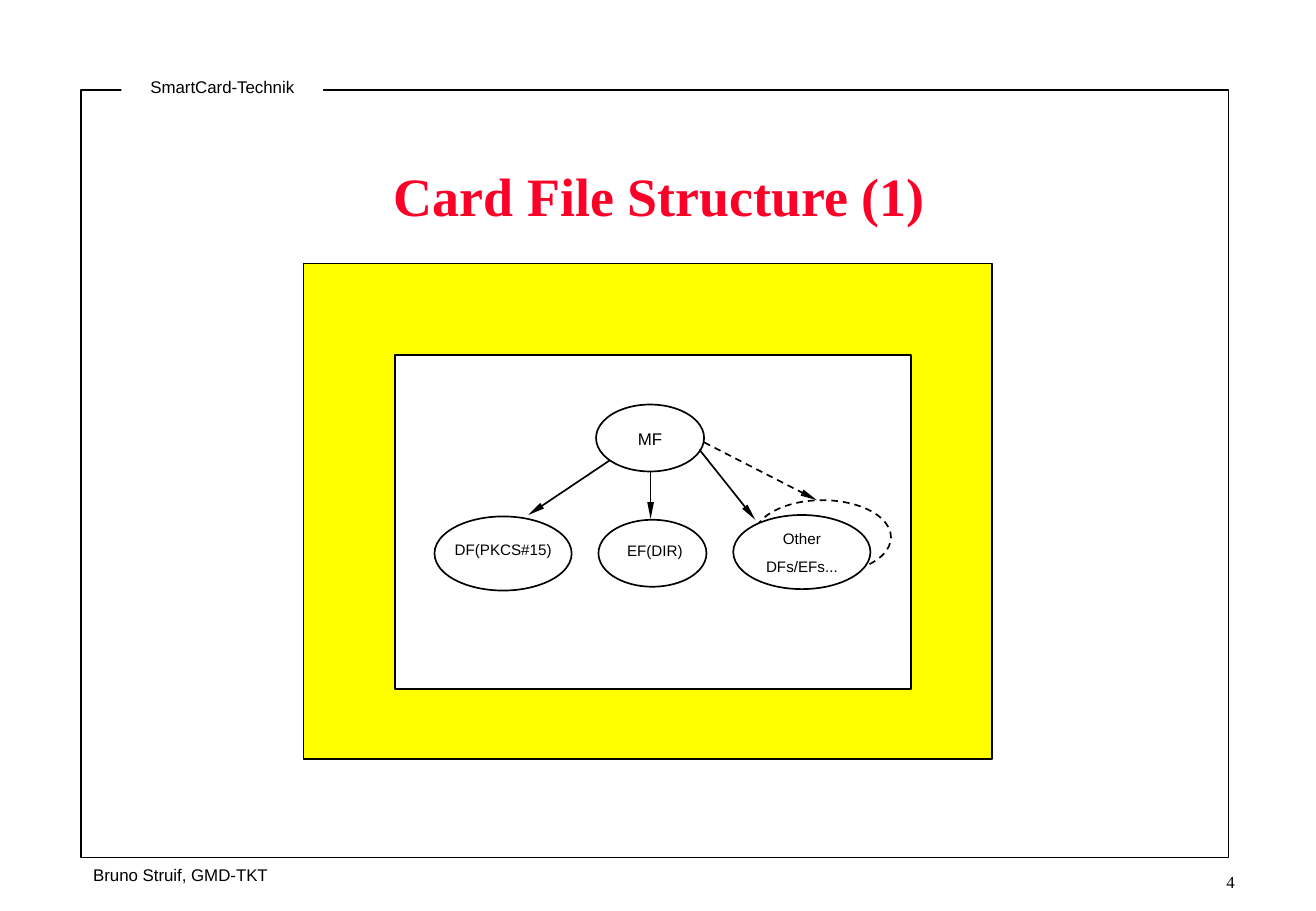
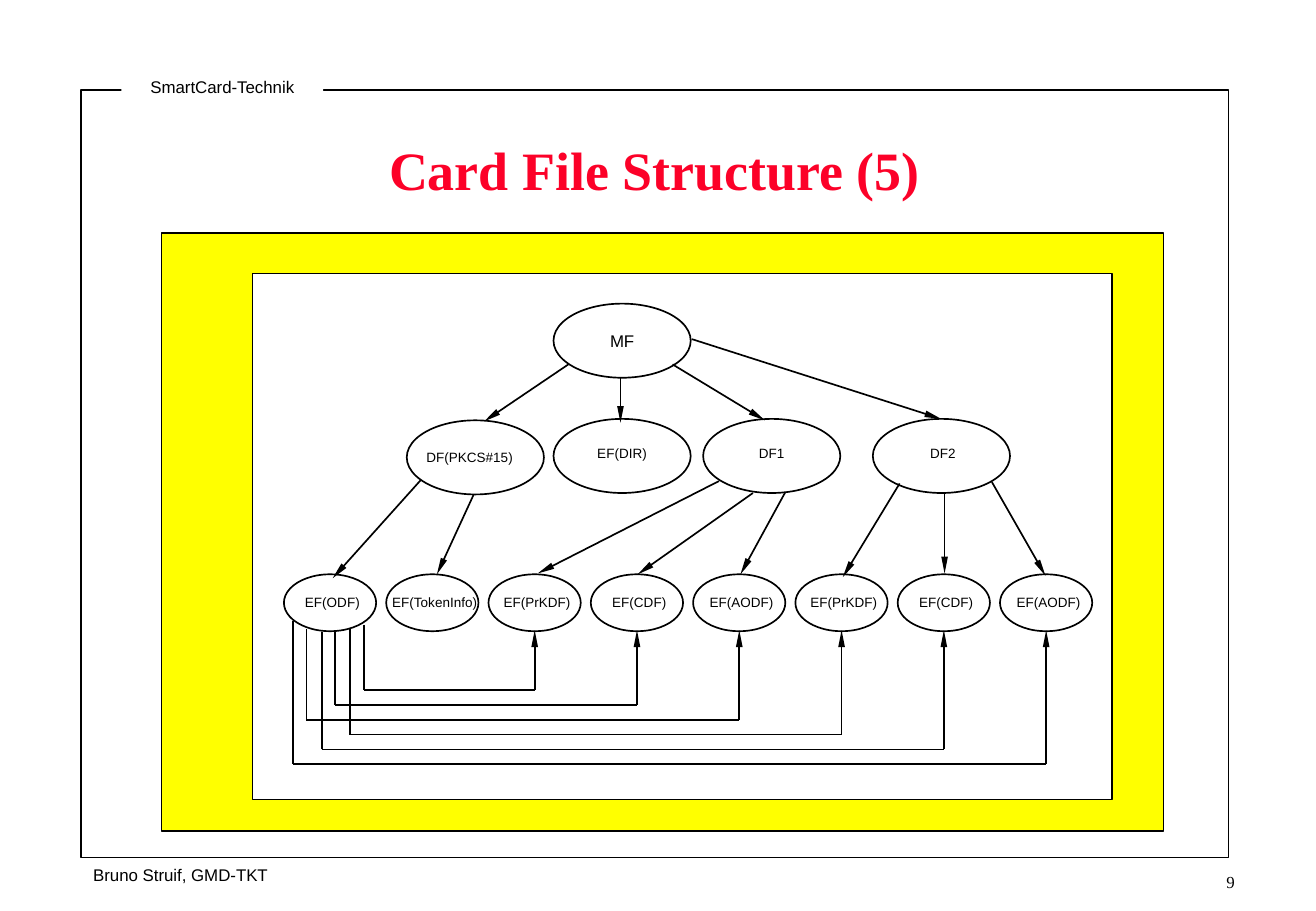
import pptx
import pptx.util
import pptx.dml.color
import pptx.enum.dml
import pptx.enum.shapes
import pptx.enum.text
import pptx.oxml
import pptx.oxml.ns

Cm, Pt = pptx.util.Cm, pptx.util.Pt
SHAPE = pptx.enum.shapes.MSO_SHAPE
ALIGN = pptx.enum.text.PP_ALIGN
ANCHOR = pptx.enum.text.MSO_ANCHOR
DASH = pptx.enum.dml.MSO_LINE.DASH

COLORS = {
    name: pptx.dml.color.RGBColor.from_string(value)
    for name, value in {
        "black": "000000", "white": "FFFFFF", "yellow": "FFFF00", "red": "FC0128",
    }.items()
}
LABEL_W = 2.7


def add_box(s, kind, x, y, w, h, fill=None, outline=True, dashed=False):
    sp = s.shapes.add_shape(kind, Cm(x), Cm(y), Cm(w), Cm(h))
    sp.shadow.inherit = False
    if fill:
        sp.fill.solid()
        sp.fill.fore_color.rgb = COLORS[fill]
    else:
        sp.fill.background()
    if outline:
        sp.line.color.rgb = COLORS["black"]
        sp.line.width = Pt(1)
        if dashed:
            sp.line.dash_style = DASH
    else:
        sp.line.fill.background()


def add_text(s, x, y, w, h, text, size, font="Arial", color="black", bold=False,
             align=ALIGN.CENTER, anchor=ANCHOR.TOP):
    tf = s.shapes.add_textbox(Cm(x), Cm(y), Cm(w), Cm(h)).text_frame
    tf.word_wrap = True
    tf.vertical_anchor = anchor
    for i, line in enumerate(text.split("\n")):
        p = tf.paragraphs[0] if i == 0 else tf.add_paragraph()
        p.alignment = align
        if i:
            p.space_before = Pt(5.6)
        r = p.add_run()
        r.text = line
        r.font.size = Pt(size)
        r.font.name = font
        r.font.bold = bold
        r.font.color.rgb = COLORS[color]


# Ellipse sizes
SIZES = {"large": (2.87, 1.55), "medium": (2.26, 1.4), "small": (1.93, 1.19)}

# Bottom row of the second slide: eight files at equal steps
LEAF_X, LEAF_Y, LEAF_STEP = 5.94, 12.01, 2.14
leaves = ["EF(ODF)", "EF(TokenInfo)"] + ["EF(PrKDF)", "EF(CDF)", "EF(AODF)"] * 2
leaf_nodes = [
    ("small", LEAF_X + i * LEAF_STEP, LEAF_Y, name, 8, 0.05, 0.29)
    for i, name in enumerate(leaves)
]

# References from EF(ODF) to the last six files: down, across, up
BUS_Y, BUS_STEP, LEAF_BOTTOM = 14.43, 0.31, 13.18
starts = [(7.62, 13.06), (7.01, 13.21), (6.41, 13.16),
          (7.32, 13.16), (6.73, 13.21), (6.13, 12.98)]
bus_lines, bus_arrows = [], []
for i, (x, y) in enumerate(starts):
    bus = BUS_Y + i * BUS_STEP
    target = LEAF_X + SIZES["small"][0] / 2 + (i + 2) * LEAF_STEP
    bus_lines += [(x, y, x, bus), (x, bus, target, bus)]
    bus_arrows.append((target, bus, target, LEAF_BOTTOM))

# Nodes: size, left, top, label, points, label offset from centre and from top
slides = [
    {
        "number": "4",
        "title": "Card File Structure (1)",
        "title_at": (2.74, 2.74),
        "outer": (6.35, 5.51, 14.4, 10.36),
        "inner": (8.26, 7.42, 10.8, 6.99),
        "ghosts": [(15.77, 10.46)],
        "nodes": [
            ("medium", 12.47, 8.46, "MF", 10, 0, 0.38),
            ("medium", 12.52, 10.87, "EF(DIR)", 9, 0.05, 0.33),
            ("large", 9.09, 10.8, "DF(PKCS#15)", 9, 0, 0.38),
            ("large", 15.34, 10.77, "Other\nDFs/EFs...", 9, 0, 0.18),
        ],
        "lines": {
            "arrow": [
                (12.75, 9.63, 11.05, 10.77),
                (13.61, 9.86, 13.61, 10.85),
                (14.63, 9.4, 15.8, 10.87),
            ],
            "dashed arrow": [(14.73, 9.25, 17.09, 10.46)],
        },
    },
    {
        "number": "9",
        "title": "Card File Structure (5)",
        "title_at": (2.64, 2.18),
        "outer": (3.38, 4.88, 20.96, 12.5),
        "inner": (5.28, 5.72, 17.98, 11),
        "ghosts": [],
        "nodes": [
            ("large", 11.58, 6.35, "MF", 10, 0, 0.43),
            ("large", 11.58, 8.76, "EF(DIR)", 8, 0, 0.43),
            ("large", 8.51, 8.79, "DF(PKCS#15)", 8, -0.12, 0.48),
            ("large", 14.71, 8.76, "DF1", 8, 0, 0.43),
            ("large", 18.26, 8.76, "DF2", 8, 0.03, 0.43),
        ] + leaf_nodes,
        "lines": {
            "plain": bus_lines,
            "arrow": [
                # from MF
                (12.98, 7.9, 12.98, 8.84),
                (11.89, 7.62, 10.13, 8.81),
                (14.07, 7.62, 16, 8.79),
                (14.47, 7.09, 19.69, 8.76),
                # from DF(PKCS#15)
                (9.91, 10.34, 9.14, 12.01),
                (8.81, 10.03, 6.96, 12.09),
                # from DF1
                (15.04, 10.06, 11.25, 11.99),
                (15.75, 10.31, 13.34, 12.01),
                (16.43, 10.29, 15.49, 12.01),
                # from DF2
                (18.82, 10.11, 17.63, 12.07),
                (19.76, 10.31, 19.76, 11.99),
                (20.75, 10.08, 21.87, 12.04),
            ] + bus_arrows,
        },
    },
]

prs = pptx.Presentation()
prs.slide_width, prs.slide_height = Cm(27.53), Cm(19.05)

for data in slides:
    s = prs.slides.add_slide(prs.slide_layouts[6])

    # Frame, header and footer
    add_box(s, SHAPE.RECTANGLE, 1.7, 1.88, 24, 16.05)
    add_box(s, SHAPE.RECTANGLE, 2.54, 1.47, 4.22, 0.66, "white", outline=False)
    add_text(s, 2.54, 1.47, 4.22, 0.66, "SmartCard-Technik", 10)
    add_text(s, 1.7, 17.96, 4.6, 0.66, "Bruno Struif, GMD-TKT", 10,
             align=ALIGN.LEFT, anchor=ANCHOR.MIDDLE)
    add_text(s, 24.1, 18.11, 1.98, 0.66, data["number"], 10, "Times New Roman",
             align=ALIGN.RIGHT, anchor=ANCHOR.MIDDLE)

    # Title and panels
    add_box(s, SHAPE.RECTANGLE, *data["outer"], "yellow")
    add_text(s, *data["title_at"], 22.12, 2.69, data["title"], 32,
             "Times New Roman", "red", True, anchor=ANCHOR.MIDDLE)
    add_box(s, SHAPE.RECTANGLE, *data["inner"], "white")

    # Files
    for x, y in data["ghosts"]:
        add_box(s, SHAPE.OVAL, x, y, *SIZES["large"], dashed=True)
    for size, x, y, label, points, dx, dy in data["nodes"]:
        w, h = SIZES[size]
        add_box(s, SHAPE.OVAL, x, y, w, h, "white")
        add_text(s, x + w / 2 + dx - LABEL_W / 2, y + dy, LABEL_W,
                 0.64 * len(label.split("\n")), label, points)

    # Lines and arrows
    for style, lines in data["lines"].items():
        for x1, y1, x2, y2 in lines:
            c = s.shapes.add_connector(pptx.enum.shapes.MSO_CONNECTOR.STRAIGHT,
                                       Cm(x1), Cm(y1), Cm(x2), Cm(y2))
            c.line.color.rgb = COLORS["black"]
            c.line.width = Pt(1)
            if "dashed" in style:
                c.line.dash_style = DASH
            if "arrow" in style:
                ln = c.line._get_or_add_ln()
                ln.append(pptx.oxml.parse_xml(
                    '<a:tailEnd %s type="triangle" w="sm" len="lg"/>'
                    % pptx.oxml.ns.nsdecls("a")))
            c._element.spPr.append(pptx.oxml.parse_xml(
                "<a:effectLst %s/>" % pptx.oxml.ns.nsdecls("a")))

prs.save("out.pptx")
